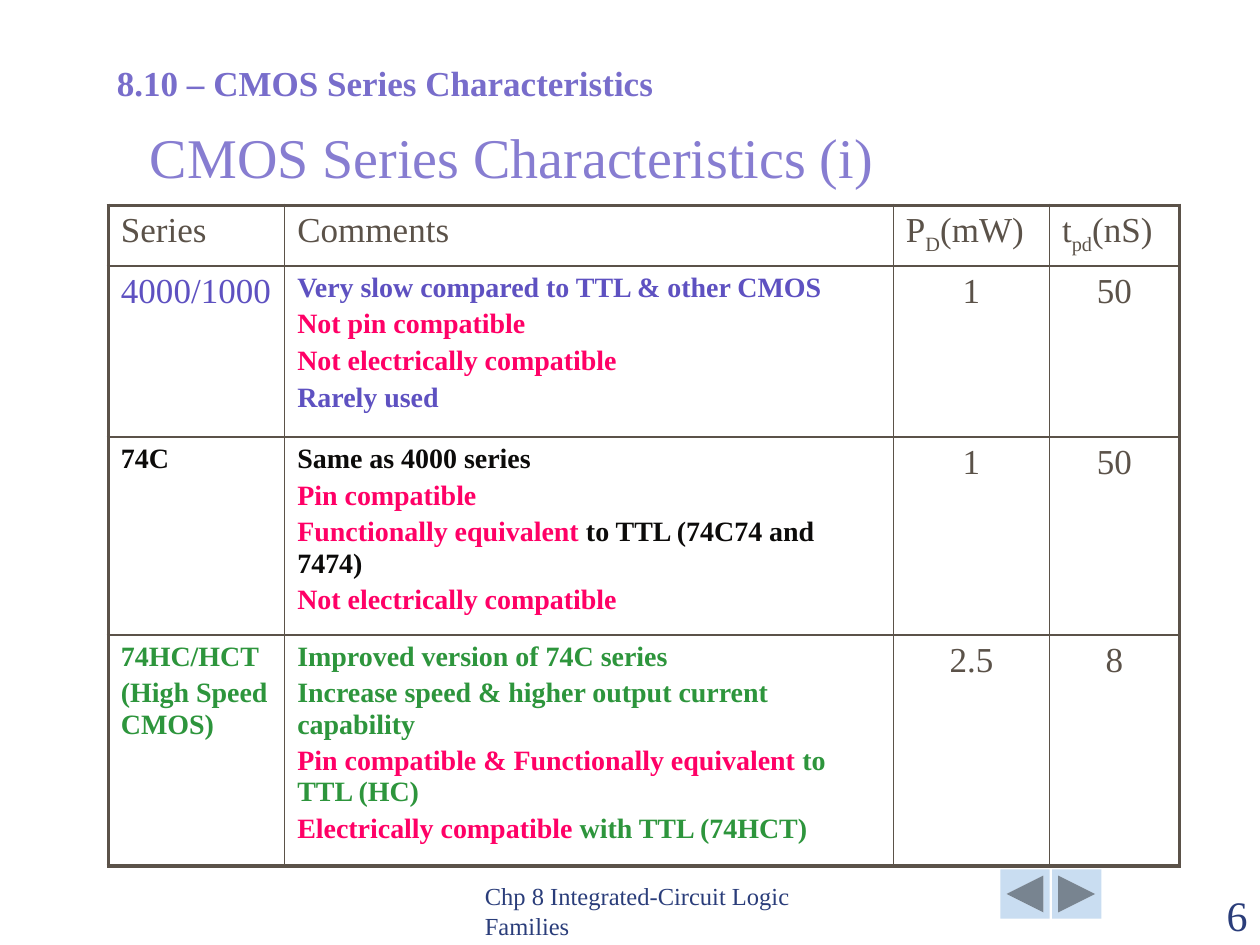
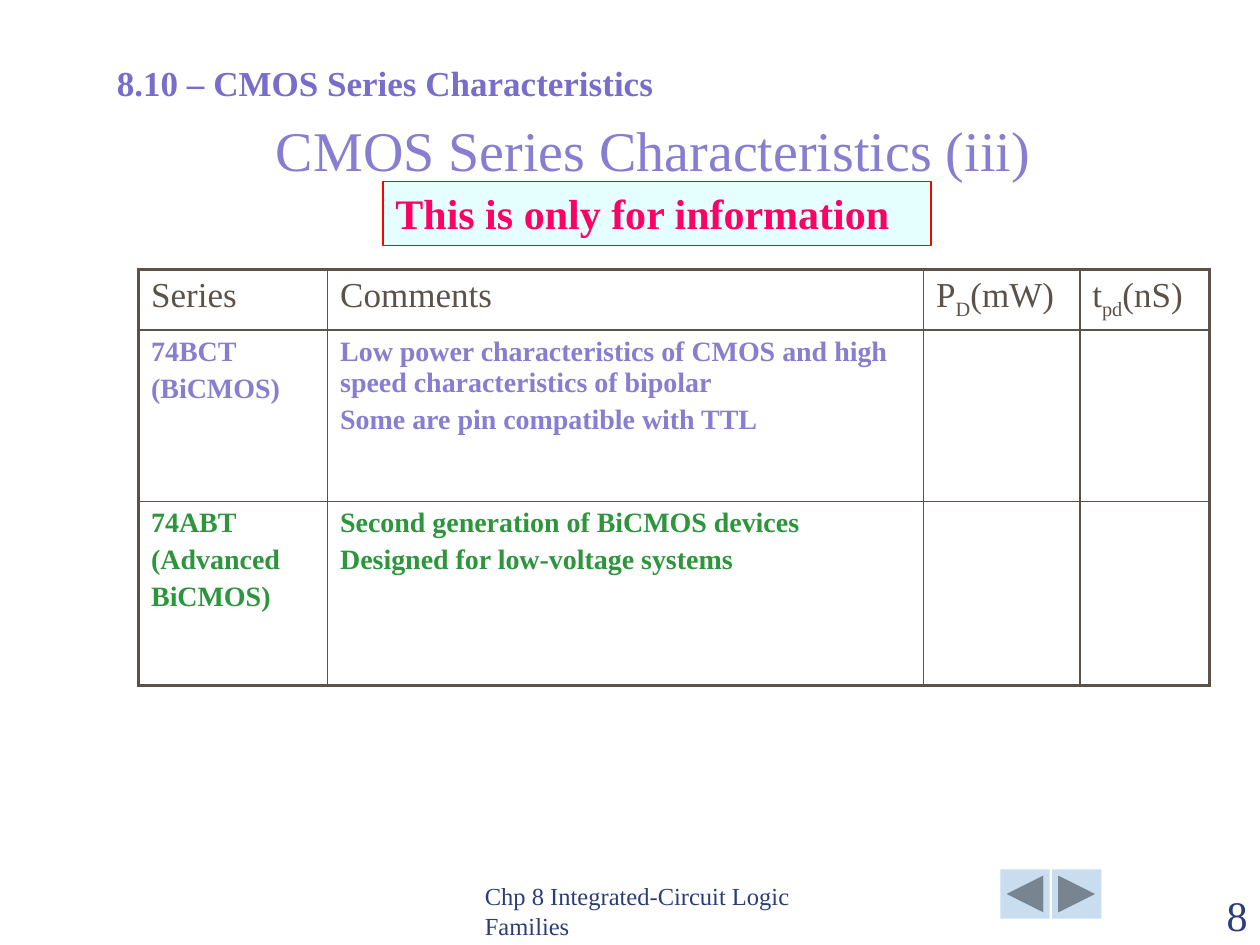
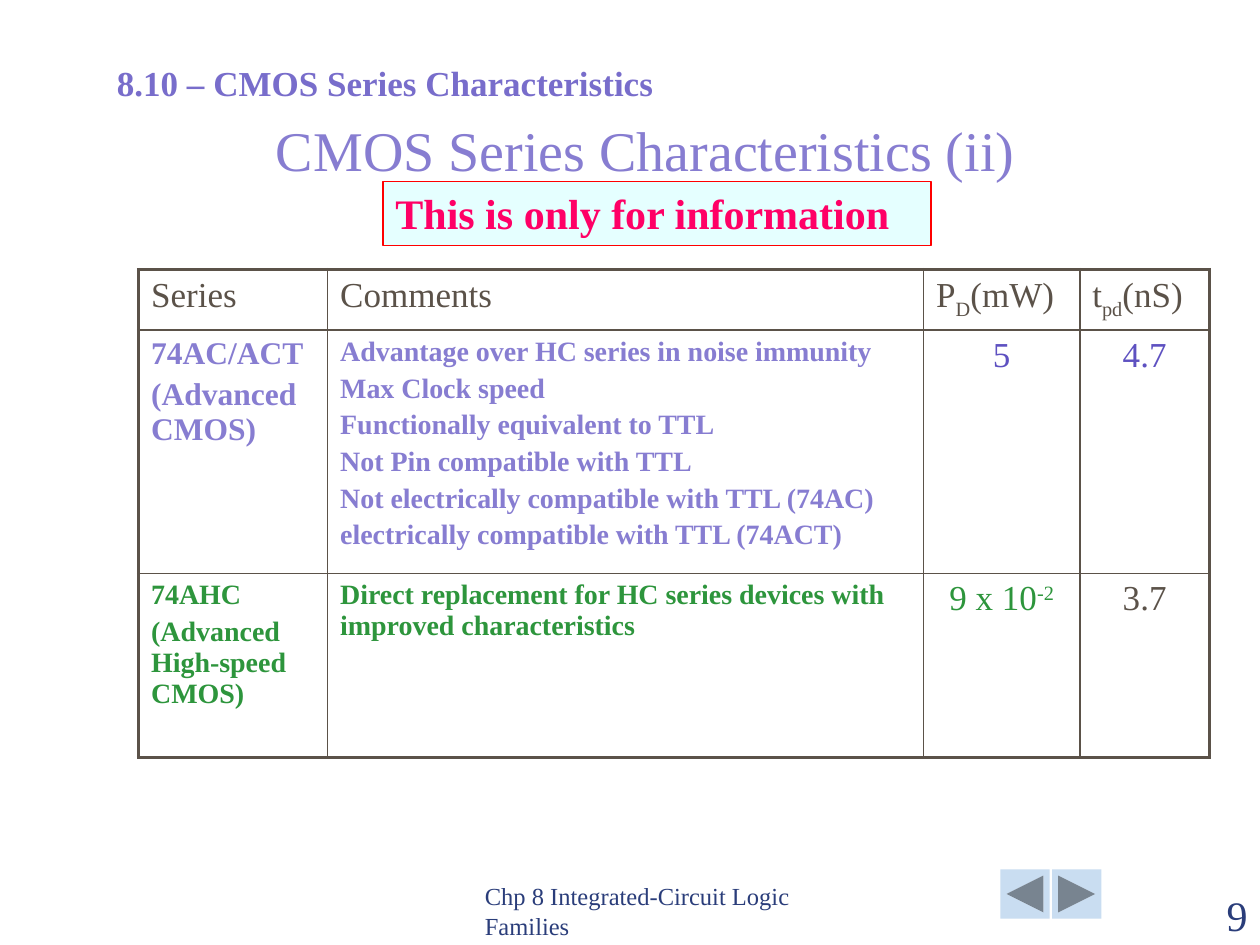
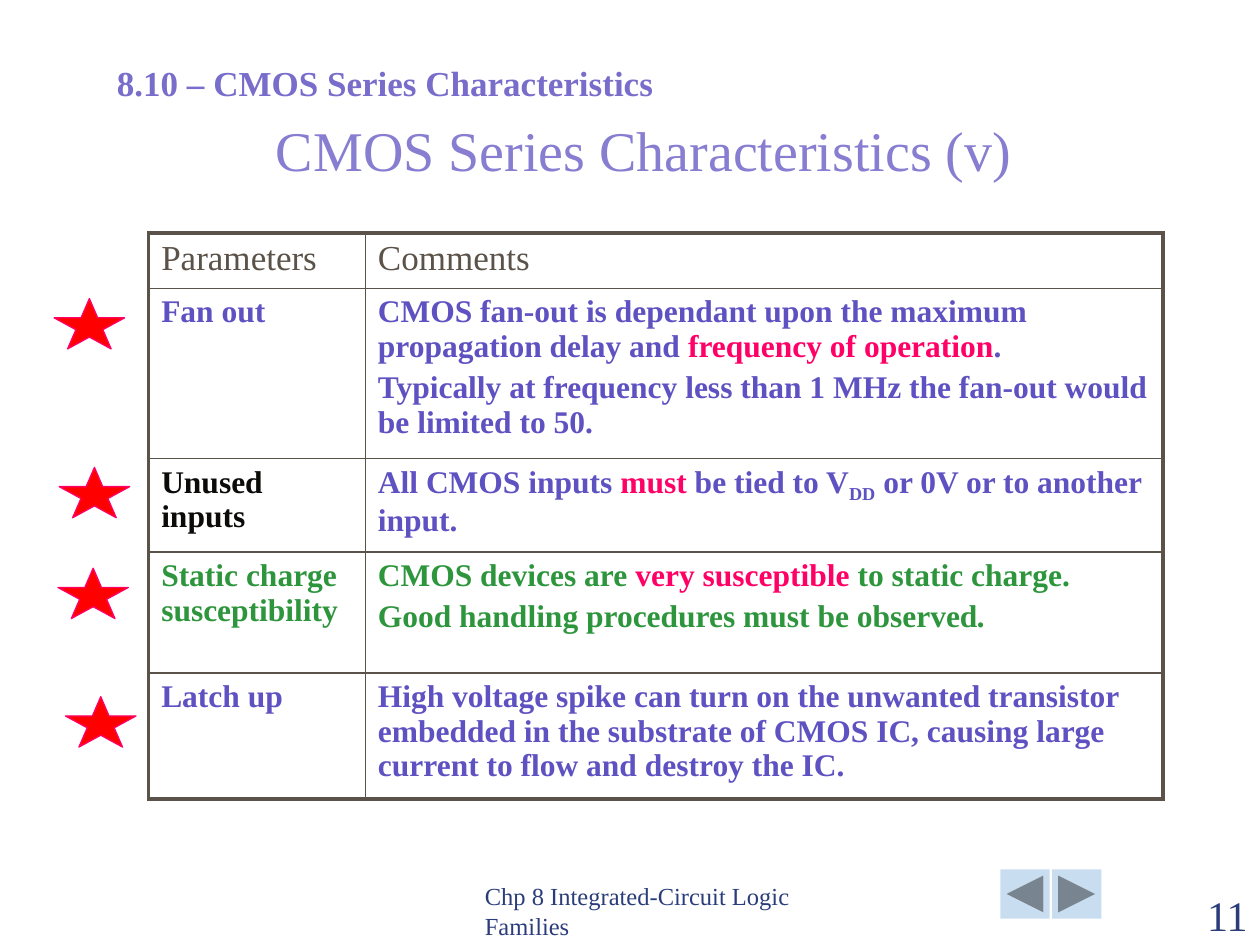
from dataclasses import dataclass
from typing import Any, NamedTuple, Union

from lxml.etree import SubElement as Sub
from pptx import Presentation
from pptx.dml.color import RGBColor as Rgb
from pptx.enum.shapes import MSO_SHAPE as Kind
from pptx.enum.text import MSO_ANCHOR as Anchor, MSO_AUTO_SIZE as Fit, PP_ALIGN as Align
from pptx.oxml.ns import qn
from pptx.util import Inches, Pt


# Theme: colours, type sizes and line widths
@dataclass(frozen=True)
class Theme:
    face: str = "Times New Roman"
    title: str = "877DD1"
    head: str = "786DCB"
    foot: str = "2A3D7A"
    ink: str = "5B5249"
    blue: str = "5E51C1"
    black: str = "0C0B0A"
    green: str = "2D953C"
    pink: str = "FF0066"
    red: str = "FF0000"
    pale: str = "CCFFFF"
    button: str = "C9DDF1"
    big: int = 32
    note: int = 24
    mid: int = 20
    body: int = 18
    small: int = 16
    tiny: int = 14
    thick: float = 2.25
    thin: float = 1
    hair: float = 0.75


T = Theme()


# Records for what repeats
class Run(NamedTuple):
    text: str
    color: str = ""
    base: int = 0  # percent above (+) or below (-) the line
    slant: bool = False


Para = Union[str, tuple]


class Cell(NamedTuple):
    paras: tuple = ()
    color: str = T.ink
    size: int = T.mid
    bold: bool = False
    align: Any = Align.LEFT


class Box(NamedTuple):
    left: float
    top: float
    width: float
    height: float

    def lengths(self) -> list:
        return [Inches(v) for v in self]


@dataclass
class Grid:
    left: float
    top: float
    cols: list
    heights: list
    rows: list


@dataclass
class Page:
    number: int
    title: str
    place: Box
    grid: Grid
    note: bool = False
    stars: tuple = ()


# Short makers for cells
def text(color: str, *paras: Para, size: int = T.small) -> Cell:
    return Cell(paras, color, size, True)


def value(*runs: Any, color: str = T.ink) -> Cell:
    return Cell((runs,), color, align=Align.CENTER)


def key(words: str) -> Run:
    return Run(words, T.pink)


def plain(*runs: Any) -> Cell:
    return Cell((runs,))


# Drawing
def put(item: Any, **values: Any) -> None:
    for name, val in values.items():
        setattr(item, name, val)


def write(frame: Any, cell: Cell, gap: float = 0.2) -> None:
    frame.word_wrap = True
    for i, para in enumerate(cell.paras):
        p = frame.paragraphs[0] if i == 0 else frame.add_paragraph()
        p.alignment = cell.align
        if i:
            p.space_before = Pt(gap * cell.size)
        for part in (para,) if isinstance(para, str) else para:
            part = Run(part) if isinstance(part, str) else part
            run = p.add_run()
            run.text = part.text
            put(run.font, name=T.face, size=Pt(cell.size), bold=cell.bold)
            run.font.color.rgb = Rgb.from_string(part.color or cell.color)
            if part.slant:
                run.font.italic = True
            if part.base:
                run._r.get_or_add_rPr().set("baseline", str(part.base * 1000))


def label(slide: Any, box: Box, cell: Cell, anchor: Any = Anchor.TOP) -> None:
    frame = slide.shapes.add_textbox(*box.lengths()).text_frame
    frame.vertical_anchor = anchor
    write(frame, cell)


def shape(slide: Any, kind: Any, box: Box, fill: str, line: str = "") -> Any:
    item = slide.shapes.add_shape(kind, *box.lengths())
    item.shadow.inherit = False
    item.fill.solid()
    item.fill.fore_color.rgb = Rgb.from_string(fill)
    if line:
        item.line.color.rgb = Rgb.from_string(line)
        item.line.width = Pt(T.hair)
    else:
        item.line.fill.background()
    return item


def border(cell: Any, edges: dict) -> None:
    props = cell._tc.get_or_add_tcPr()
    for side, outer in edges.items():
        width = Pt(T.thick if outer else T.thin)
        line = Sub(props, qn("a:ln" + side), w=str(width))
        Sub(Sub(line, qn("a:solidFill")), qn("a:srgbClr"), val=T.ink)
    cell.fill.background()


def table(slide: Any, grid: Grid) -> None:
    box = Box(grid.left, grid.top, sum(grid.cols), sum(grid.heights))
    rows, cols = len(grid.heights), len(grid.cols)
    item = slide.shapes.add_table(rows, cols, *box.lengths()).table
    put(item, first_row=False, horz_banding=False)
    for col, width in zip(item.columns, grid.cols):
        col.width = Inches(width)
    for row, height in zip(item.rows, grid.heights):
        row.height = Inches(height)
    for r, row in enumerate(grid.rows):
        for c, cell in enumerate(row):
            spot = item.cell(r, c)
            write(spot.text_frame, cell)
            border(spot, {"L": c == 0, "R": c == cols - 1,
                          "T": r == 0, "B": r == rows - 1})


def frame(slide: Any, page: Page) -> None:
    # Buttons, footer and page number
    for left, kind in ((7.94, Kind.ACTION_BUTTON_BACK_OR_PREVIOUS),
                       (8.35, Kind.ACTION_BUTTON_FORWARD_OR_NEXT)):
        shape(slide, kind, Box(left, 6.9, 0.39, 0.39), T.button)
    label(slide, Box(3.75, 7.01, 3.17, 0.5),
          Cell(("Chp 8 Integrated-Circuit Logic Families",), T.foot, T.tiny),
          Anchor.BOTTOM)
    label(slide, Box(9, 7.01, 1, 0.5),
          Cell((str(page.number),), T.foot, T.note, align=Align.RIGHT),
          Anchor.BOTTOM)
    # Title and section heading
    title = slide.shapes.title
    put(title, **dict(zip(("left", "top", "width", "height"), page.place.lengths())))
    put(title.text_frame, auto_size=Fit.NONE, vertical_anchor=Anchor.BOTTOM)
    write(title.text_frame, Cell((page.title,), T.title, T.big))
    label(slide, Box(0.83, 0.44, 4.64, 0.43),
          text(T.head, "8.10 – CMOS Series Characteristics", size=T.mid))


def notice(slide: Any) -> None:
    item = shape(slide, Kind.RECTANGLE, Box(3.04, 1.44, 4.35, 0.51), T.pale, T.red)
    tint = item._element.spPr.find(qn("a:solidFill"))[0]
    Sub(tint, qn("a:alpha"), val="50000")
    item.text_frame.vertical_anchor = Anchor.TOP
    write(item.text_frame, text(T.pink, "This is only for information", size=T.note))


def draw(deck: Any, page: Page) -> None:
    slide = deck.slides.add_slide(deck.slide_layouts[5])
    frame(slide, page)
    table(slide, page.grid)
    if page.note:
        notice(slide)
    for left, top in page.stars:
        shape(slide, Kind.STAR_5_POINT, Box(left, top, 0.56, 0.4), T.red, T.pink)


# Content
HEAD = [plain("Series"), plain("Comments"),
        plain("P", Run("D", base=-25), "(mW)"),
        plain("t", Run("pd", base=-25), "(nS)")]
WIDE = [1.5, 4.73, 1.24, 1.03]
NAME = "CMOS Series Characteristics "

PAGES = [
    Page(6, NAME + "(i)", Box(1.09, 0.95, 8.5, 0.61), Grid(
        0.86, 1.63, [1.4, 4.83, 1.24, 1.03], [0.48, 1.36, 1.57, 1.83], [
            HEAD,
            [Cell(("4000/1000",), T.blue),
             text(T.blue, "Very slow compared to TTL & other CMOS",
                  (key("Not pin compatible"),),
                  (key("Not electrically compatible"),),
                  "Rarely used"),
             value("1"), value("50")],
            [text(T.black, "74C"),
             text(T.black, "Same as 4000 series",
                  (key("Pin compatible"),),
                  (key("Functionally equivalent"), " to TTL (74C74 and 7474)"),
                  (key("Not electrically compatible"),)),
             value("1"), value("50")],
            [text(T.green, "74HC/HCT", "(High Speed CMOS)"),
             text(T.green, "Improved version of 74C series",
                  "Increase speed & higher output current capability",
                  (key("Pin compatible & Functionally equivalent"), " to TTL (HC)"),
                  (key("Electrically compatible"), " with TTL (74HCT)")),
             value("2.5"), value("8")],
        ])),
    Page(8, NAME + "(iii)", Box(2.09, 0.89, 6.44, 0.61), Grid(
        1.1, 2.14, WIDE, [0.48, 1.36, 1.46], [
            HEAD,
            [text(T.title, "74BCT", "(BiCMOS)"),
             text(T.title, "Low power characteristics of CMOS and high speed "
                  "characteristics of bipolar",
                  "Some are pin compatible with TTL"),
             Cell(), Cell()],
            [text(T.green, "74ABT", "(Advanced", "BiCMOS)"),
             text(T.green, "Second generation of BiCMOS devices",
                  "Designed for low-voltage systems"),
             Cell(), Cell()],
        ]), note=True),
    Page(9, NAME + "(ii)", Box(2.09, 0.89, 6.17, 0.61), Grid(
        1.1, 2.14, WIDE, [0.48, 1.93, 1.46], [
            HEAD,
            [text(T.title, "74AC/ACT", "(Advanced CMOS)", size=T.body),
             text(T.title, "Advantage over HC series in noise immunity",
                  "Max Clock speed",
                  "Functionally equivalent to TTL",
                  "Not Pin compatible with TTL",
                  "Not electrically compatible with TTL (74AC)",
                  "electrically compatible with TTL (74ACT)"),
             value("5", color=T.blue), value("4.7", color=T.blue)],
            [text(T.green, "74AHC", "(Advanced High-speed CMOS)"),
             text(T.green, "Direct replacement for HC series devices with "
                  "improved characteristics"),
             value("9 x 10", Run("-2", base=30), color=T.green), value("3.7")],
        ]), note=True),
    Page(11, NAME + "(v)", Box(2.09, 0.89, 6.17, 0.61), Grid(
        1.18, 1.85, [1.72, 6.33], [0.44, 1.35, 0.74, 0.96, 1], [
            [plain("Parameters"), plain("Comments")],
            [text(T.blue, "Fan out", size=T.body),
             text(T.blue, ("CMOS fan-out is dependant upon the maximum "
                           "propagation delay and ",
                           key("frequency of operation"), "."),
                  "Typically at frequency less than 1 MHz the fan-out would "
                  "be limited to 50.", size=T.body)],
            [text(T.black, "Unused inputs", size=T.body),
             text(T.blue, ("All CMOS inputs ", key("must"), " be tied to V",
                           Run("DD", base=-22), " or 0V or to another input."),
                  size=T.body)],
            [text(T.green, "Static charge susceptibility", size=T.body),
             text(T.green, ("CMOS devices are ", key("very susceptible"),
                            " to static charge."),
                  ("Good handling procedures must be observed",
                   Run(".", slant=True)), size=T.body)],
            [text(T.blue, "Latch up", size=T.body),
             text(T.blue, "High voltage spike can turn on the unwanted transistor "
                  "embedded in the substrate of CMOS IC, causing large current "
                  "to flow and destroy the IC.", size=T.body)],
        ]), stars=((0.43, 2.37), (0.47, 3.71), (0.46, 4.51), (0.52, 5.53))),
]


def main() -> None:
    deck = Presentation()
    put(deck, slide_width=Inches(10), slide_height=Inches(7.5))
    for page in PAGES:
        draw(deck, page)
    deck.save("out.pptx")


if __name__ == "__main__":
    main()
